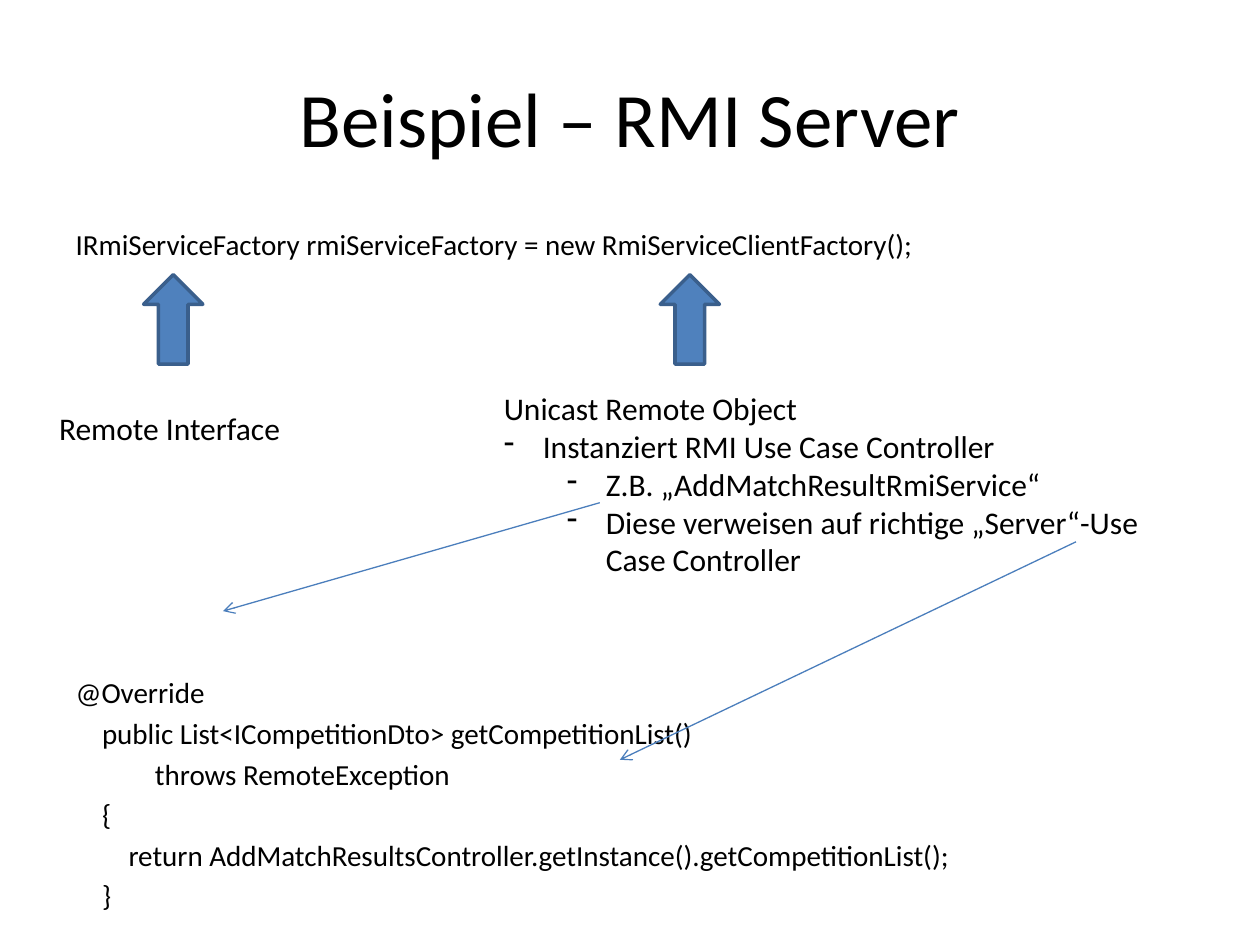
from lxml import etree
from pptx import Presentation
from pptx.dml.color import RGBColor
from pptx.enum.shapes import MSO_CONNECTOR, MSO_SHAPE
from pptx.enum.text import MSO_ANCHOR, MSO_AUTO_SIZE, PP_ALIGN
from pptx.oxml.ns import qn
from pptx.util import Inches, Pt

FONT = "Calibri"
BLACK, BLUE, DARK_BLUE, LINE_BLUE = "000000", "4F81BD", "3A5F8C", "4B7EBC"


def color(target, value):
    """Apply a hex colour to a font, line or solid fill."""
    target.rgb = RGBColor.from_string(value)


def place(shape, box):
    """Move a shape to a box given in inches."""
    shape.left, shape.top, shape.width, shape.height = map(Inches, box)


def write(paragraph, text, size):
    """Put one formatted run into a paragraph."""
    run = paragraph.add_run()
    run.text = text
    run.font.name, run.font.size = FONT, Pt(size)
    color(run.font.color, BLACK)


def indent(paragraph, left, hanging=0, bullet=None):
    """Set the indents and the bullet of a paragraph."""
    props = paragraph._p.get_or_add_pPr()
    props.set("marL", str(Inches(left)))
    props.set("indent", str(-Inches(hanging)))
    if bullet:
        etree.SubElement(props, qn("a:buChar")).set("char", bullet)
    else:
        etree.SubElement(props, qn("a:buNone"))


def paragraphs(frame, count):
    """Return the given number of paragraphs of an empty frame."""
    return [frame.paragraphs[0]] + [frame.add_paragraph() for _ in range(count - 1)]


def add_title(slide, box, text):
    """Fill the title placeholder."""
    title = slide.shapes.title
    place(title, box)
    title.text_frame.vertical_anchor = MSO_ANCHOR.MIDDLE
    paragraph = title.text_frame.paragraphs[0]
    paragraph.alignment = PP_ALIGN.CENTER
    write(paragraph, text, 44)


def add_code(slide, box, lines):
    """Fill the body with code lines of text, indent level and space before."""
    body = slide.placeholders[1]
    place(body, box)
    frame = body.text_frame
    frame.auto_size = MSO_AUTO_SIZE.NONE
    for paragraph, (text, level, space) in zip(paragraphs(frame, len(lines)), lines):
        paragraph.space_before = Pt(space)
        indent(paragraph, level * 0.21)
        write(paragraph, text, 16.6)


def add_note(slide, box, lines, wrap=True):
    """Add a text box whose lines have a bullet level, 0 for none."""
    frame = slide.shapes.add_textbox(*map(Inches, box)).text_frame
    frame.word_wrap = wrap
    for paragraph, (text, level) in zip(paragraphs(frame, len(lines)), lines):
        if level:
            paragraph.level = level - 1
            indent(paragraph, 0.31 + 0.5 * (level - 1), 0.31, "-")
        write(paragraph, text, 18)


def add_up_arrow(slide, box):
    """Add a block arrow pointing up at the code."""
    arrow = slide.shapes.add_shape(MSO_SHAPE.UP_ARROW, *map(Inches, box))
    arrow.shadow.inherit = False
    arrow.fill.solid()
    color(arrow.fill.fore_color, BLUE)
    color(arrow.line.color, DARK_BLUE)
    arrow.line.width = Pt(2)


def add_pointer(slide, start, end):
    """Add a thin line with an open arrowhead at its end."""
    pointer = slide.shapes.add_connector(
        MSO_CONNECTOR.STRAIGHT, *map(Inches, start + end))
    color(pointer.line.color, LINE_BLUE)
    pointer.line.width = Pt(0.75)
    etree.SubElement(pointer.line._get_or_add_ln(), qn("a:tailEnd")).set("type", "arrow")
    etree.SubElement(pointer._element.spPr, qn("a:effectLst"))


def build():
    """Build and save the RMI server slide."""
    deck = Presentation()
    deck.slide_width, deck.slide_height = Inches(10), Inches(7.5)
    slide = deck.slides.add_slide(deck.slide_layouts[1])
    add_title(slide, (0.5, 0.3, 9, 1.25), "Beispiel – RMI Server")
    gap = 3.3
    add_code(slide, (0.5, 1.75, 9, 4.95), [
        ("IRmiServiceFactory rmiServiceFactory = new RmiServiceClientFactory();", 0, gap),
        ("@Override", 0, 236),
        ("public List<ICompetitionDto> getCompetitionList()", 1, gap),
        ("throws RemoteException", 3, gap),
        ("{", 1, gap),
        ("return AddMatchResultsController.getInstance().getCompetitionList();", 2, gap),
        ("}", 1, gap),
    ])
    for left in (1.14, 5.24):
        add_up_arrow(slide, (left, 2.18, 0.47, 0.71))
    add_note(slide, (0.37, 3.2, 1.98, 0.4), [("Remote Interface", 0)], wrap=False)
    add_note(slide, (3.9, 3.04, 5.51, 1.62), [
        ("Unicast Remote Object", 0),
        ("Instanziert RMI Use Case Controller", 1),
        ("Z.B. „AddMatchResultRmiService“", 2),
        ("Diese verweisen auf richtige „Server“-Use Case Controller", 2),
    ])
    add_pointer(slide, (4.76, 3.99), (1.77, 4.85))
    add_pointer(slide, (8.54, 4.3), (4.92, 6.03))
    deck.save("out.pptx")


build()
